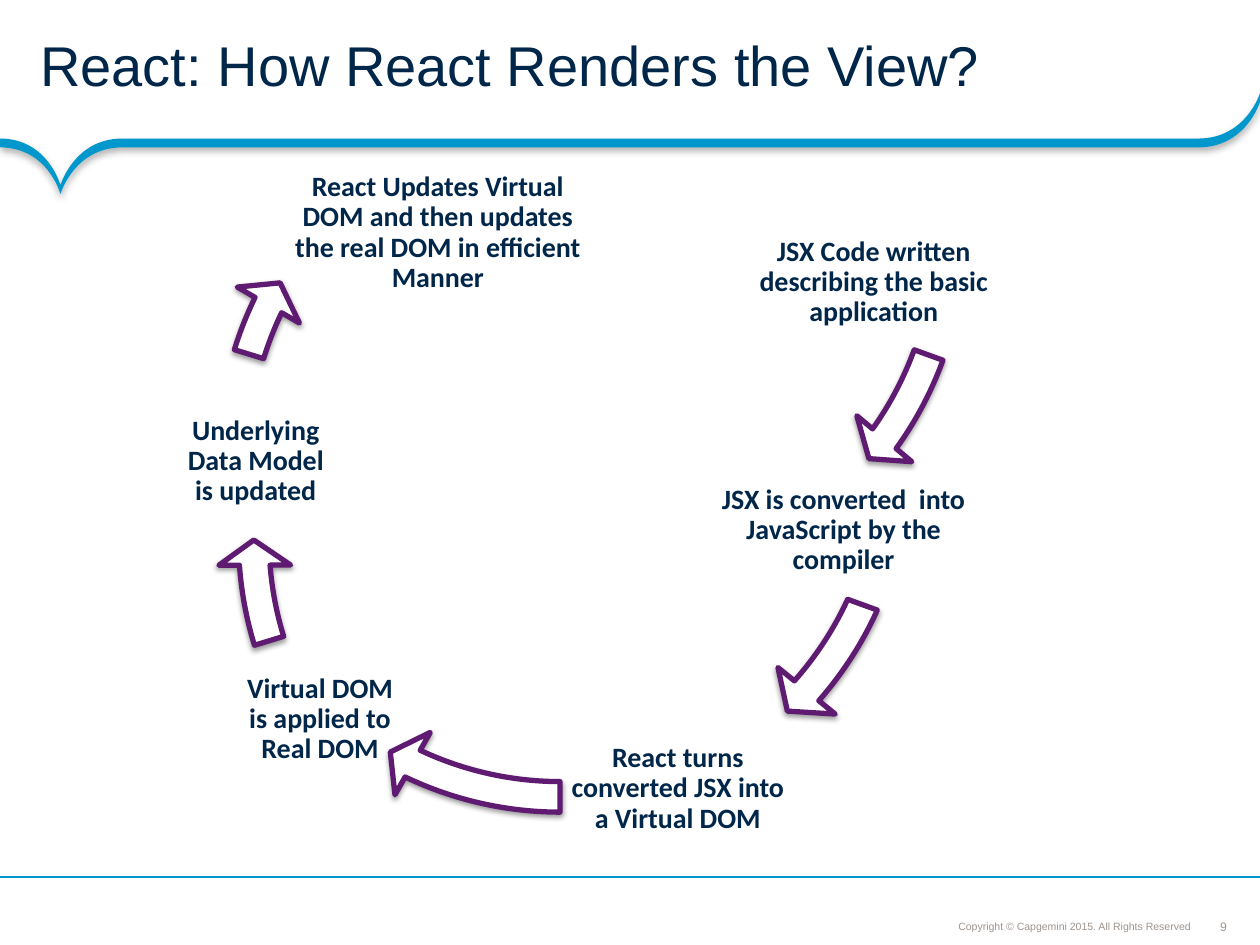
from itertools import zip_longest

from lxml import etree
from pptx import Presentation
from pptx.dml.color import RGBColor
from pptx.enum.shapes import MSO_CONNECTOR, MSO_SHAPE
from pptx.enum.text import MSO_ANCHOR, PP_ALIGN
from pptx.oxml.ns import qn
from pptx.util import Pt

PX = 9144
WIDTH, HEIGHT = 1000, 750
STRAIGHT = MSO_CONNECTOR.STRAIGHT
CIRCULAR_ARROW = MSO_SHAPE.CIRCULAR_ARROW
MIDDLE, BOTTOM = MSO_ANCHOR.MIDDLE, MSO_ANCHOR.BOTTOM
LEFT, CENTER, RIGHT = PP_ALIGN.LEFT, PP_ALIGN.CENTER, PP_ALIGN.RIGHT

NAVY = RGBColor(0x00, 0x26, 0x4A)
BLUE = RGBColor(0x00, 0x98, 0xCC)
PURPLE = RGBColor(0x5F, 0x1B, 0x71)
GREY = RGBColor(0x9F, 0x95, 0x8F)
WHITE = RGBColor(0xFF, 0xFF, 0xFF)

BAND_THICKNESS = 7
BAND_EDGE = [(0, 110), (48, 147), (97, 110), (951, 110), (1000, 74)]
BAND_CONTROLS = [
    ((38, 110), (48, 147)),
    ((48, 147), (59, 110)),
    None,
    ((989, 110), (1000, 74)),
]

STEPS = [
    ("JSX Code written describing the basic application", (590, 162, 207, 124)),
    ("JSX is converted  into JavaScript by the compiler", (550, 359, 239, 124)),
    ("React turns converted JSX into a Virtual DOM", (451, 564, 174, 124)),
    ("Virtual DOM is applied to Real DOM", (192, 509, 124, 124)),
    ("Underlying Data Model is updated", (141, 304, 124, 124)),
    ("React Updates Virtual DOM and then updates the real DOM in efficient Manner",
     (223, 123, 249, 124)),
]
ARROWS = [
    ((176, -115, 606, 606), 27.73, 18.29, 349.5),
    ((44, 62, 693, 624), 20.95, 11.89, 0),
    ((142, 55, 606, 606), 69.2, 54.06, 0),
    ((173, 125, 606, 606), 105.42, 97.75, 0),
    ((157, 59, 606, 606), 123.53, 118.28, 0),
]


def lowered(points):
    """Return the points in reverse order, moved down by the band's thickness."""
    return [(x, y + BAND_THICKNESS) for x, y in reversed(points)]


def write_text(frame, text, size, color, font="Arial", bold=False, align=LEFT,
               anchor=MIDDLE, insets=(4, 4, 4, 4), spacing=1.0, wrap=True):
    """Put one formatted paragraph into a text frame."""
    frame.word_wrap = wrap
    frame.vertical_anchor = anchor
    (frame.margin_left, frame.margin_top,
     frame.margin_right, frame.margin_bottom) = [inset * PX for inset in insets]
    paragraph = frame.paragraphs[0]
    paragraph.text = text
    paragraph.alignment = align
    paragraph.line_spacing = spacing
    paragraph.font.name = font
    paragraph.font.size = Pt(size)
    paragraph.font.bold = bold
    paragraph.font.color.rgb = color


class SlidePainter:
    """Draws the elements of a slide in one style."""

    def __init__(self, slide):
        self.slide = slide
        self.shapes = slide.shapes

    def text(self, text, box, **style):
        """Add a text box."""
        shape = self.shapes.add_textbox(*[value * PX for value in box])
        write_text(shape.text_frame, text, **style)

    def shadow(self, shape, opacity, blur, distance):
        """Give a shape a black shadow that falls straight down."""
        shape.shadow.inherit = False
        effects = shape._element.spPr.find(qn("a:effectLst"))
        outer = etree.SubElement(effects, qn("a:outerShdw"), blurRad=str(Pt(blur)),
                                 dist=str(Pt(distance)), dir="5400000", rotWithShape="0")
        color = etree.SubElement(outer, qn("a:srgbClr"), val="000000")
        etree.SubElement(color, qn("a:alpha"), val=str(opacity * 1000))

    def bend(self, shape, controls):
        """Turn the straight segments that have control points into curves."""
        segments = list(shape._element.iter(qn("a:lnTo")))
        for segment, pair in zip(segments, controls):
            if pair:
                segment.tag = qn("a:cubicBezTo")
                for index, (x, y) in enumerate(pair):
                    point = etree.Element(qn("a:pt"), x=str(x * PX - shape.left),
                                          y=str(y * PX - shape.top))
                    segment.insert(index, point)

    def band(self):
        """Add the wavy band under the title."""
        outline = [(x * PX, y * PX) for x, y in BAND_EDGE + lowered(BAND_EDGE)]
        builder = self.shapes.build_freeform(*outline[0])
        builder.add_line_segments(outline[1:], close=True)
        shape = builder.convert_to_shape()
        back = [pair and lowered(pair) for pair in reversed(BAND_CONTROLS)]
        self.bend(shape, BAND_CONTROLS + [None] + back)
        shape.fill.solid()
        shape.fill.fore_color.rgb = BLUE
        shape.line.fill.background()
        self.shadow(shape, 31, 4, 2)

    def rule(self, y):
        """Add a thin line across the slide."""
        line = self.shapes.add_connector(STRAIGHT, WIDTH * PX, y * PX, 0, y * PX)
        line.line.color.rgb = BLUE
        line.line.width = Pt(0.75)
        etree.SubElement(line._element.spPr, qn("a:effectLst"))

    def arrow(self, box, end, start, rotation):
        """Add a curved arrow between two steps of the cycle."""
        shape = self.shapes.add_shape(CIRCULAR_ARROW, *[value * PX for value in box])
        for index, value in enumerate((0.04, 2.5, end, start, 0.047)):
            shape.adjustments[index] = value
        shape.rotation = rotation
        shape.fill.solid()
        shape.fill.fore_color.rgb = WHITE
        shape.line.color.rgb = PURPLE
        shape.line.width = Pt(3)
        self.shadow(shape, 38, 3.1, 1.6)

    def step(self, text, box):
        """Add the label of one step."""
        self.text(text, box, size=16, color=NAVY, font="Calibri", bold=True,
                  align=CENTER, insets=(2, 2, 2, 2), spacing=0.9)


def main():
    """Build and save the slide."""
    presentation = Presentation()
    presentation.slide_width = WIDTH * PX
    presentation.slide_height = HEIGHT * PX
    painter = SlidePainter(presentation.slides.add_slide(presentation.slide_layouts[6]))

    painter.text("9", (965, 729, 12, 12), size=7, color=GREY, align=CENTER,
                 insets=(0, 0, 0, 0), wrap=False)
    painter.band()
    painter.text("Copyright © Capgemini 2015. All Rights Reserved", (680, 724, 269, 20),
                 size=6, color=GREY, align=RIGHT, anchor=BOTTOM, spacing=0.9)
    painter.rule(696)
    for step, arrow in zip_longest(STEPS, ARROWS):
        painter.step(*step)
        if arrow:
            painter.arrow(*arrow)
    painter.text("React: How React Renders the View?", (0, 0, 1000, 110), size=32,
                 color=NAVY, insets=(32, 4, 18, 4), spacing=0.85)
    presentation.save("out.pptx")


if __name__ == "__main__":
    main()
